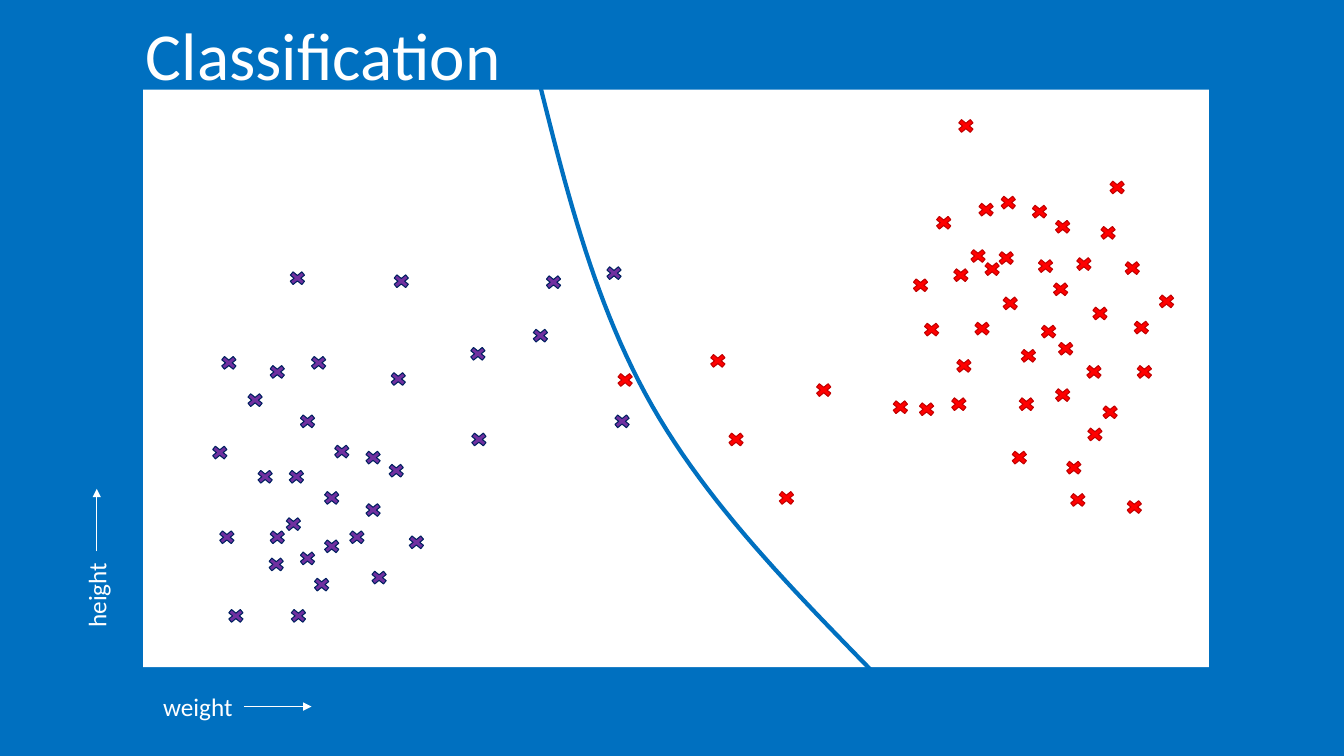
from dataclasses import dataclass

import lxml.etree
import pptx
import pptx.dml.color
import pptx.enum.shapes
import pptx.enum.text
import pptx.oxml.ns
import pptx.shapes.autoshape
import pptx.shapes.connector
import pptx.slide
import pptx.util

# Grid of 1333 columns by 750 rows; one cell is a hundredth of an inch
COLUMNS, ROWS = 1333, 750
CELL = pptx.util.Inches(0.01)
MARK_COLUMNS, MARK_ROWS = 22, 18
BLUE, WHITE = "0070C0", "FFFFFF"
FONT = "Calibri"

Point = tuple[float, float]
SHAPES = pptx.enum.shapes.MSO_SHAPE


@dataclass(frozen=True)
class Category:
    fill: str
    outline: str


@dataclass(frozen=True)
class Cluster:
    category: Category
    places: tuple[Point, ...]


@dataclass(frozen=True)
class Label:
    text: str
    column: float
    row: float
    columns: float
    rows: float
    size: float
    rotation: float = 0


@dataclass(frozen=True)
class Axis:
    label: Label
    start: Point
    tip: Point


PURPLE = Category("7030A0", "002060")
RED = Category("FF0000", "C00000")

# Left and top cell of every sample
LIGHT_SAMPLES = Cluster(PURPLE, (
    (263, 551), (318, 533), (264, 524), (223, 602), (285, 602), (308, 571),
    (365, 564), (318, 485), (214, 524), (294, 545), (242, 388), (252, 464),
    (402, 529), (280, 511), (359, 497), (343, 524), (216, 351), (207, 440),
    (284, 267), (264, 360), (305, 351), (598, 262), (283, 464), (328, 439),
    (359, 445), (294, 409), (382, 458),
))
HEAVY_SAMPLES = Cluster(RED, (
    (1075, 422), (1088, 222), (947, 116), (1029, 320), (1041, 278), (1112, 257),
    (959, 245), (1146, 290), (991, 292), (1020, 201), (1026, 255), (1074, 360),
    (942, 264), (1064, 253), (1007, 392), (1080, 302), (963, 317), (913, 318),
    (989, 192), (1046, 337), (1009, 344), (1124, 360), (1043, 383), (1090, 400),
    (1121, 316), (973, 258), (987, 247), (1054, 455), (1114, 494), (1058, 487),
    (1000, 445), (940, 392), (967, 199), (925, 212), (1043, 216), (1097, 177),
    (806, 378), (908, 397), (945, 354), (902, 274),
))
LIGHT_OUTLIERS = Cluster(PURPLE, (
    (387, 270), (538, 271), (384, 367), (464, 427), (606, 409), (525, 324),
    (463, 342),
))
HEAVY_OUTLIERS = Cluster(RED, (
    (701, 349), (609, 368), (882, 395), (719, 427), (769, 485),
))

# Start of the class boundary, then two control points and an end per curve
BOUNDARY_START = (535, 82)
BOUNDARY_CURVES = (
    ((563, 194), (591, 305), (647, 403)),
    ((703, 501), (787, 586), (870, 671)),
)
BOUNDARY_STEPS = 24

TITLE = Label("Classification", 135, 8, 376, 91, 48)
AXES = (
    Axis(Label("weight", 152, 681, 90, 40, 18), (242, 701), (309, 701)),
    Axis(Label("height", 53, 570, 85, 40, 18, 270), (96, 547), (96, 485)),
)


def cells(count: float) -> pptx.util.Emu:
    return pptx.util.Emu(round(count * CELL))


def colour(value: str) -> pptx.dml.color.RGBColor:
    return pptx.dml.color.RGBColor.from_string(value)


def add_block(slide: pptx.slide.Slide, kind: SHAPES, place: Point, extent: Point,
              fill: str) -> pptx.shapes.autoshape.Shape:
    block = slide.shapes.add_shape(kind, *map(cells, place + extent))
    block.shadow.inherit = False
    block.fill.solid()
    block.fill.fore_color.rgb = colour(fill)
    block.line.fill.background()
    return block


def add_cluster(slide: pptx.slide.Slide, cluster: Cluster) -> None:
    for place in cluster.places:
        mark = add_block(slide, SHAPES.MATH_MULTIPLY, place,
                         (MARK_COLUMNS, MARK_ROWS), cluster.category.fill)
        mark.line.color.rgb = colour(cluster.category.outline)
        mark.line.width = pptx.util.Pt(0.75)


def bezier(t: float, *values: float) -> pptx.util.Emu:
    a, b, c, d = values
    u = 1 - t
    return cells(u**3 * a + 3 * u**2 * t * b + 3 * u * t**2 * c + t**3 * d)


def add_boundary(slide: pptx.slide.Slide) -> None:
    outline = slide.shapes.build_freeform(*map(cells, BOUNDARY_START))
    start = BOUNDARY_START
    for curve in BOUNDARY_CURVES:
        columns, rows = zip(start, *curve)
        shares = [step / BOUNDARY_STEPS for step in range(1, BOUNDARY_STEPS + 1)]
        outline.add_line_segments(
            [(bezier(t, *columns), bezier(t, *rows)) for t in shares], close=False)
        start = curve[-1]
    boundary = outline.convert_to_shape()
    boundary.shadow.inherit = False
    boundary.fill.background()
    boundary.line.color.rgb = colour(BLUE)
    boundary.line.width = pptx.util.Pt(3)


def add_label(slide: pptx.slide.Slide, label: Label) -> pptx.shapes.autoshape.Shape:
    extent = (label.column, label.row, label.columns, label.rows)
    box = slide.shapes.add_textbox(*map(cells, extent))
    box.rotation = label.rotation
    box.text_frame.word_wrap = False
    box.text_frame.auto_size = pptx.enum.text.MSO_AUTO_SIZE.SHAPE_TO_FIT_TEXT
    run = box.text_frame.paragraphs[0].add_run()
    run.text = label.text
    run.font.name = FONT
    run.font.size = pptx.util.Pt(label.size)
    run.font.color.rgb = colour(WHITE)
    return box


def add_axis(slide: pptx.slide.Slide, axis: Axis) -> None:
    label = add_label(slide, axis.label)
    arrow = slide.shapes.add_connector(
        pptx.enum.shapes.MSO_CONNECTOR.STRAIGHT, *map(cells, axis.start + axis.tip))
    arrow.begin_connect(label, 3)
    # The joined side turns with the label
    arrow.begin_x, arrow.begin_y = map(cells, axis.start)
    arrow.line.color.rgb = colour(WHITE)
    arrow.line.width = pptx.util.Pt(0.5)
    qn = pptx.oxml.ns.qn
    properties = arrow.element.find(qn("p:spPr"))
    lxml.etree.SubElement(properties.find(qn("a:ln")), qn("a:tailEnd"), type="triangle")
    lxml.etree.SubElement(properties, qn("a:effectLst"))


def main() -> None:
    deck = pptx.Presentation()
    deck.slide_width, deck.slide_height = cells(COLUMNS), cells(ROWS)
    slide = deck.slides.add_slide(deck.slide_layouts[6])
    slide.background.fill.solid()
    slide.background.fill.fore_color.rgb = colour(BLUE)

    # Plot area with the two main clusters
    add_block(slide, SHAPES.RECTANGLE, (142, 89), (1057, 573), WHITE)
    add_cluster(slide, LIGHT_SAMPLES)
    add_cluster(slide, HEAVY_SAMPLES)
    add_boundary(slide)

    # Axes and title
    for axis in AXES:
        add_axis(slide, axis)
    add_label(slide, TITLE)

    # Samples near the boundary
    add_cluster(slide, LIGHT_OUTLIERS)
    add_cluster(slide, HEAVY_OUTLIERS)
    deck.save("out.pptx")


if __name__ == "__main__":
    main()
